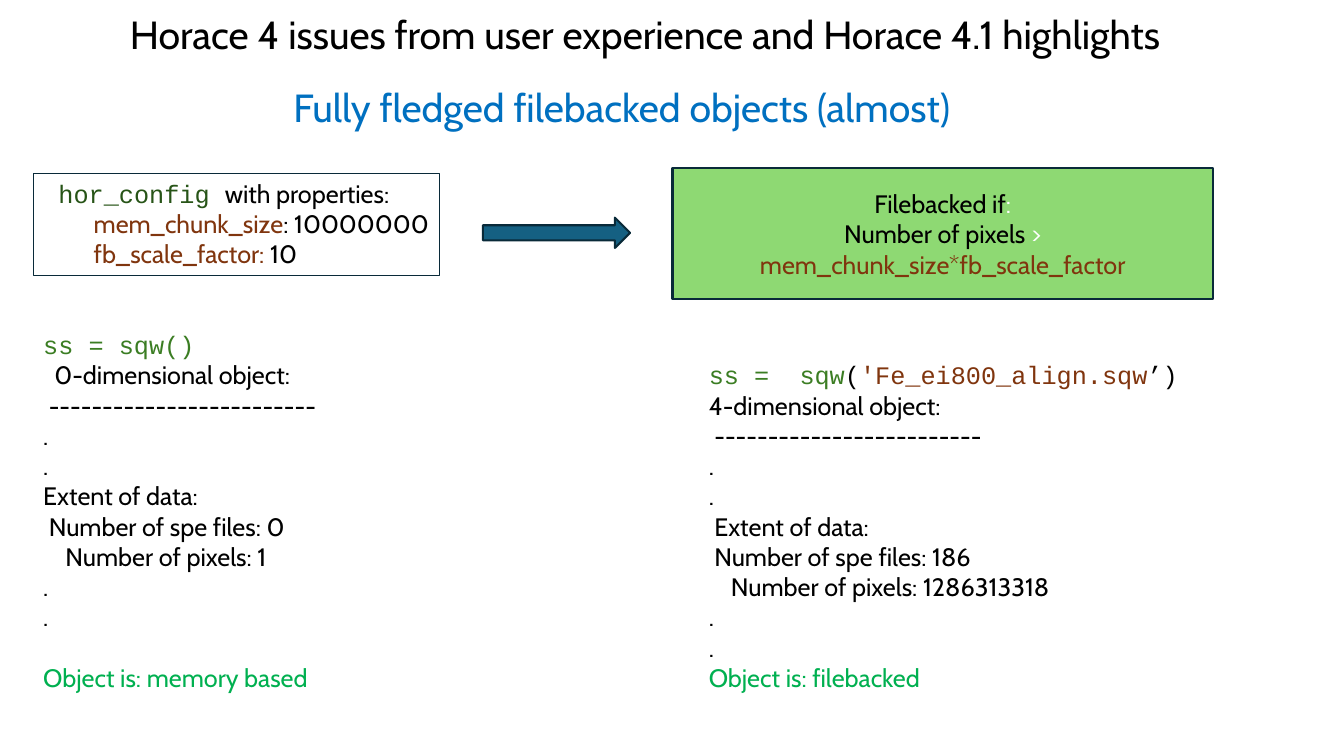
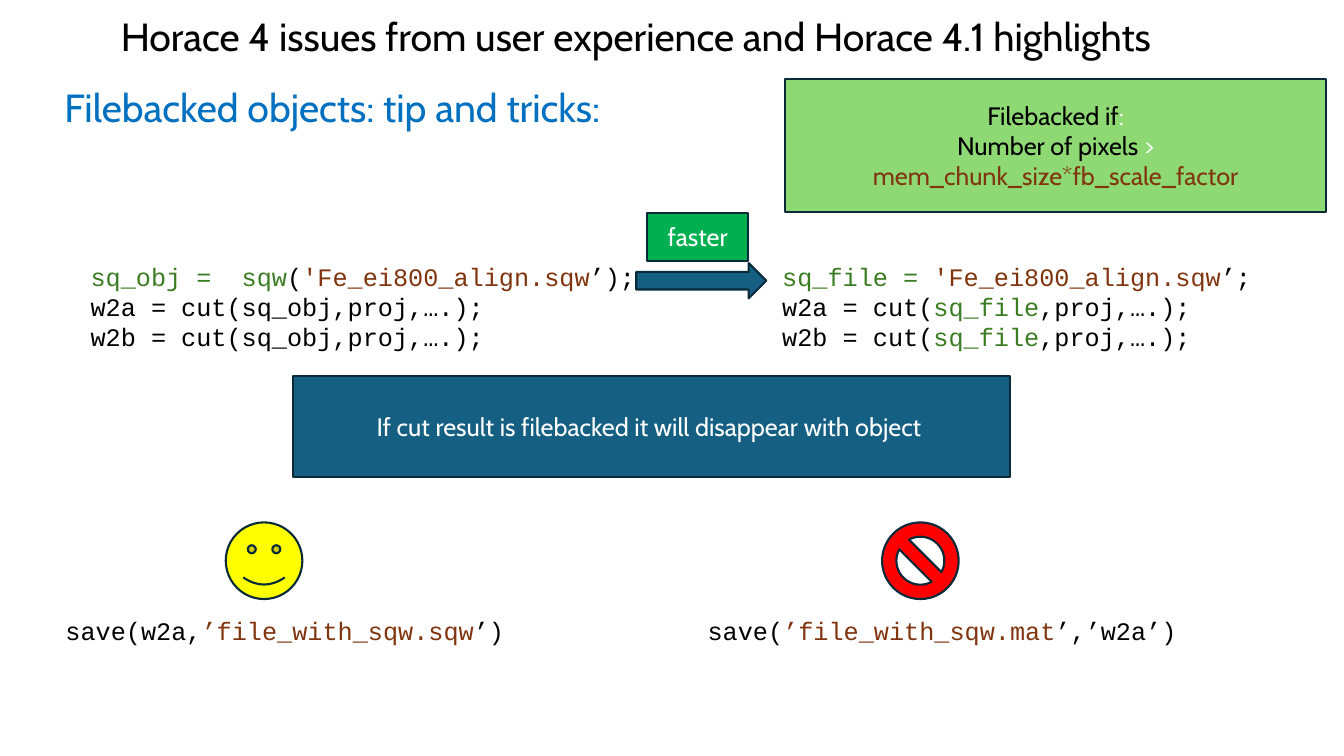
from collections import namedtuple

from pptx import Presentation
from pptx.dml.color import RGBColor
from pptx.enum.shapes import MSO_SHAPE
from pptx.enum.text import MSO_ANCHOR, PP_ALIGN
from pptx.util import Inches, Pt

RECT, ARROW = MSO_SHAPE.RECTANGLE, MSO_SHAPE.RIGHT_ARROW
SMILEY, FORBIDDEN = MSO_SHAPE.SMILEY_FACE, MSO_SHAPE.NO_SYMBOL
TOP, MIDDLE = MSO_ANCHOR.TOP, MSO_ANCHOR.MIDDLE
LEFT, CENTER = PP_ALIGN.LEFT, PP_ALIGN.CENTER

COLORS = {
    "black": "000000", "white": "FFFFFF", "heading": "0070C0",
    "outline": "092A39", "teal": "156082", "panel": "8ED973",
    "code": "3B7D23", "config": "275417", "value": "80350E",
    "result": "00B050", "yes": "FFFF00", "no": "FF0000",
}
SANS, MONO = "Cabin", "Courier New"
BODY, HEADING = 18, 28
SPACE = 0.055
BLANK_LINE = 21.6
HEADING_FORMAT = {"line_spacing": 0.9, "space_before": Pt(10)}

Run = namedtuple("Run", "text color font")
Line = namedtuple("Line", "runs indent gap")


class Box(namedtuple("Box", "left top width height")):
    """A region of the slide, in inches."""

    def share(self, left, top, width, height):
        """Return the region of this box given in percent of its size."""
        return Box(self.left + self.width * left / 100,
                   self.top + self.height * top / 100,
                   self.width * width / 100, self.height * height / 100)

    def emu(self):
        """Return the four lengths for a shape call."""
        return [Inches(length) for length in self]


SLIDE = Box(0, 0, 13.33, 7.5)


def rgb(name):
    """Look up a named colour."""
    return RGBColor.from_string(COLORS[name])


def say(text, color="black"):
    """Make a run of prose."""
    return Run(text, color, SANS)


def code(text, color="black"):
    """Make a run of code."""
    return Run(text, color, MONO)


def line(*runs, indent=0, gap=0):
    """Make a paragraph with an indent in inches and a gap above in points."""
    return Line(runs, indent, gap)


def write(shape, lines, size=BODY, align=LEFT, anchor=TOP, **paragraph_format):
    """Fill a shape with formatted lines."""
    frame = shape.text_frame
    frame.word_wrap = True
    frame.vertical_anchor = anchor
    for number, (runs, indent, gap) in enumerate(lines):
        paragraph = frame.add_paragraph() if number else frame.paragraphs[0]
        settings = {"alignment": align, "space_before": Pt(gap), **paragraph_format}
        for name, value in settings.items():
            setattr(paragraph, name, value)
        if indent:
            paragraph._p.get_or_add_pPr().set("marL", str(Inches(indent)))
        for words, color, font in runs:
            run = paragraph.add_run()
            run.text = words
            for name, value in {"name": font, "size": Pt(size)}.items():
                setattr(run.font, name, value)
            run.font.color.rgb = rgb(color)


def text(slide, box, lines, **text_format):
    """Place plain text in a box."""
    write(slide.shapes.add_textbox(*box.emu()), lines, **text_format)


def figure(slide, kind, box, fill=None, weight=1.5):
    """Place an outlined preset shape."""
    shape = slide.shapes.add_shape(kind, *box.emu())
    shape.shadow.inherit = False
    if fill:
        shape.fill.solid()
        shape.fill.fore_color.rgb = rgb(fill)
    else:
        shape.fill.background()
    shape.line.color.rgb = rgb("outline")
    shape.line.width = Pt(weight)
    return shape


def panel(slide, box, fill, lines):
    """Place a filled panel with centred text."""
    write(figure(slide, RECT, box, fill), lines, align=CENTER, anchor=MIDDLE)


def headings(slide, title_box, topic, topic_align):
    """Place the shared title and the topic of the slide."""
    title = "Horace 4 issues from user experience and Horace 4.1 highlights"
    text(slide, title_box, [line(say(title))],
         size=HEADING, align=CENTER, **HEADING_FORMAT)
    text(slide, SLIDE.share(4.05, 11.07, 84.4, 7.6), [line(say(topic, "heading"))],
         size=HEADING, align=topic_align, **HEADING_FORMAT)


def condition(slide, box):
    """Place the rule for when an object is filebacked."""
    panel(slide, box, "panel", [
        line(say("Filebacked if"), say(":", "white")),
        line(say("Number of pixels "), say("> ", "white"),
             say("mem_chunk_size*fb_scale_factor", "value")),
    ])


def configuration(slide, box):
    """Place the framed configuration properties."""
    write(figure(slide, RECT, box, weight=0.75), [
        line(code("hor_config ", "config"), say("with properties:"), indent=0.15),
        line(say("mem_chunk_size", "value"), say(": 10000000"), indent=0.5),
        line(say("fb_scale_factor: ", "value"), say("10"), indent=0.5),
    ])


def console(slide, box, command, dimensions, files, pixels, storage,
            offsets=(0, 0), gap=0):
    """Place a command and the object summary it prints."""
    dots = [line(say("."))] * 2
    dimension_offset, extent_offset = offsets
    text(slide, box, [
        line(*command),
        line(say(f"{dimensions}-dimensional object:"), indent=dimension_offset * SPACE),
        line(say("-" * 25), indent=SPACE),
        *dots,
        line(say("Extent of data:"), indent=extent_offset * SPACE),
        line(say(f"Number of spe files: {files}"), indent=SPACE),
        line(say(f"Number of pixels: {pixels}"), indent=4 * SPACE),
        *dots,
        line(say(f"Object is: {storage}", "result"), gap=gap),
    ])


def cuts(slide, box, opening, source, source_color):
    """Place an opening statement and the two cuts made from its source."""
    text(slide, box, [
        line(*opening),
        *[line(code(f"{cut} = cut("), code(source, source_color),
               code(",proj,….);")) for cut in ("w2a", "w2b")],
    ])


def advice(slide, box, kind, fill, icon_left, runs):
    """Place a verdict icon above a save command."""
    figure(slide, kind, box.share(icon_left, 0, 13.54, 59.3), fill)
    text(slide, box.share(0, 68.4, 100, 31.6), [line(*runs)])


def filebacked_slide(slide):
    """Build the slide on filebacked objects."""
    headings(slide, SLIDE.share(5.78, 1.47, 84.4, 11.07),
             "Fully fledged filebacked objects (almost)", CENTER)
    configuration(slide, SLIDE.share(2.48, 22.93, 30.23, 13.47))
    figure(slide, ARROW, SLIDE.share(35.93, 28.8, 10.95, 4), "teal")
    condition(slide, SLIDE.share(50.04, 22.27, 40.21, 17.33))
    console(slide, SLIDE.share(2.48, 42.93, 48, 49.87),
            [code("ss = sqw()", "code")],
            0, 0, 1, "memory based", offsets=(2, 0), gap=BLANK_LINE)
    console(slide, SLIDE.share(52, 46.93, 48, 45.73),
            [code("ss =  sqw", "code"), code("("),
             code("'Fe_ei800_align.sqw", "value"), code("’)")],
            4, 186, 1286313318, "filebacked", offsets=(0, 1))


def tips_slide(slide):
    """Build the slide of tips and tricks."""
    headings(slide, SLIDE.share(5.1, 1.73, 84.4, 11.07),
             "Filebacked objects: tip and tricks:", LEFT)
    condition(slide, SLIDE.share(58.44, 10.4, 40.21, 17.6))
    data_file = code("'Fe_ei800_align.sqw", "value")
    cuts(slide, SLIDE.share(6, 33.87, 42.5, 17.47),
         [code("sq_obj =  sqw", "code"), code("("), data_file, code("’);")],
         "sq_obj", "black")
    cuts(slide, SLIDE.share(57.46, 33.87, 42.09, 17.47),
         [code("sq_file = ", "code"), data_file, code("’;")],
         "sq_file", "code")
    figure(slide, ARROW, SLIDE.share(47.34, 34.8, 9.68, 4.67), "teal")
    panel(slide, SLIDE.share(48.16, 28.13, 7.5, 6.4), "result",
          [line(say("faster", "white"))])
    warning = "If cut result is filebacked it will disappear with object "
    panel(slide, SLIDE.share(21.83, 49.73, 53.34, 13.33), "teal",
          [line(say(warning, "white"))])
    advice(slide, SLIDE.share(4.13, 69.1, 42.09, 17.1), SMILEY, "yes", 30.1,
           [code("save(w2a,"), code("’file_with_sqw.sqw", "value"), code("’)")])
    advice(slide, SLIDE.share(51.91, 69.1, 42.09, 17.1), FORBIDDEN, "no", 32.6,
           [code("save("), code("’file_with_sqw.mat", "value"), code("’,’w2a’)")])


def main():
    """Build and save the presentation."""
    deck = Presentation()
    deck.slide_width, deck.slide_height = Inches(SLIDE.width), Inches(SLIDE.height)
    for build in (filebacked_slide, tips_slide):
        build(deck.slides.add_slide(deck.slide_layouts[6]))
    deck.save("out.pptx")


if __name__ == "__main__":
    main()
